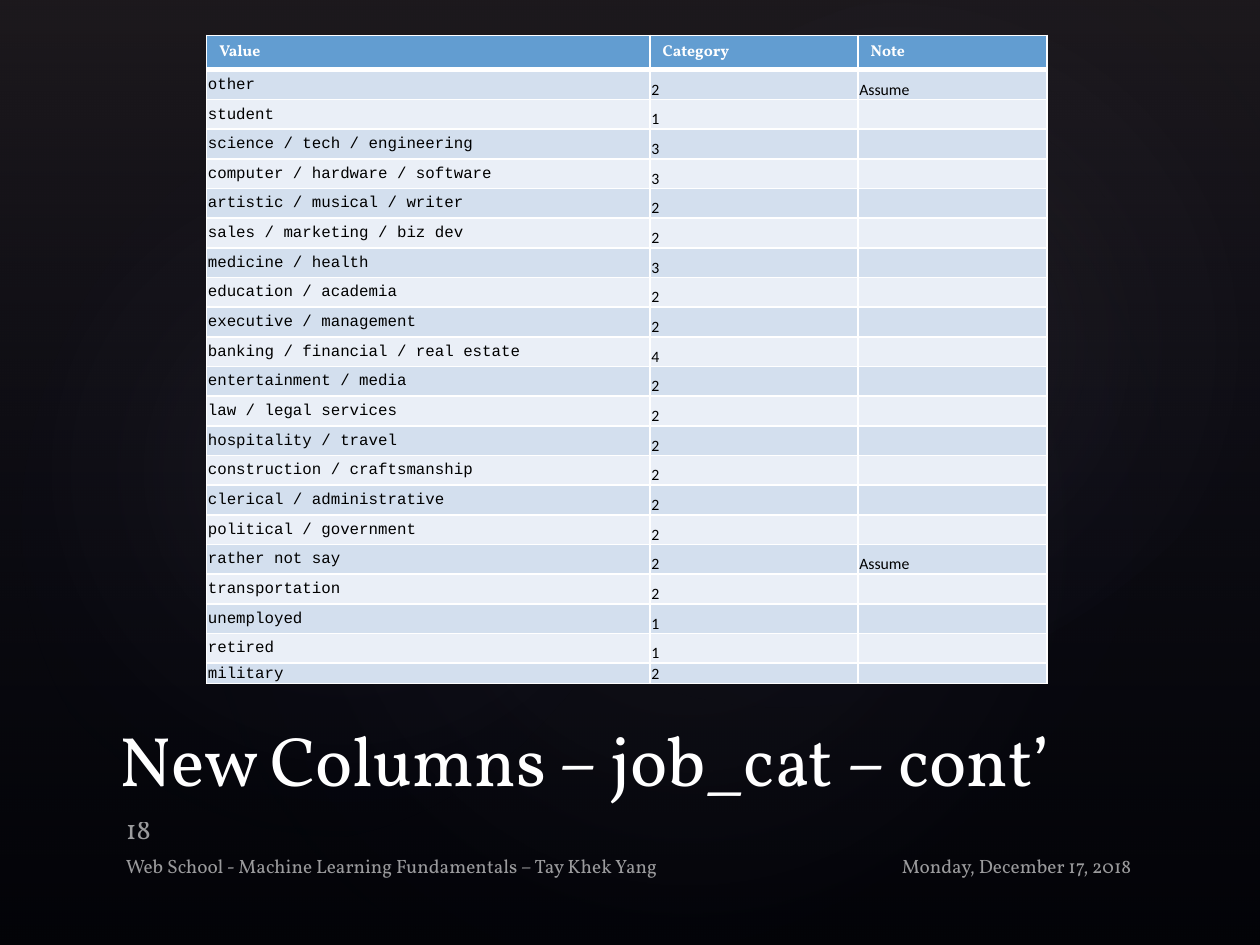
from dataclasses import dataclass

from lxml.etree import SubElement
from pptx import Presentation
from pptx.dml.color import RGBColor
from pptx.enum.shapes import MSO_SHAPE as Shape
from pptx.enum.text import MSO_ANCHOR as Anchor, MSO_AUTO_SIZE as AutoSize, PP_ALIGN as Align
from pptx.oxml.ns import qn
from pptx.util import Inches, Pt

BLACK = RGBColor(0x00, 0x00, 0x00)
WHITE = RGBColor(0xFF, 0xFF, 0xFF)
PLUM = RGBColor(0x50, 0x46, 0x52)
NAVY = RGBColor(0x24, 0x28, 0x52)
MIST = RGBColor(0xC4, 0xBC, 0xC6)
HEADER_BLUE = RGBColor(0x62, 0x9D, 0xD1)
BAND_DARK = RGBColor(0xD3, 0xDF, 0xEE)
BAND_LIGHT = RGBColor(0xEA, 0xEF, 0xF7)
SERIF, SANS, MONO = "Vollkorn", "Calibri", "Courier New"


@dataclass
class Stop:
    position: int
    color: RGBColor
    alpha: int


@dataclass
class Glow:
    left: float
    top: float
    width: float
    height: float
    rotation: float = 0
    stops: tuple[Stop, ...] = ()
    kind: Shape = Shape.OVAL


@dataclass
class Caption:
    text: str
    left: float
    top: float
    width: float
    height: float
    size: int = 11
    align: Align = Align.LEFT
    anchor: Anchor = Anchor.TOP
    bottom_inset: float = 0.05


def mist(alpha: int) -> tuple[Stop, ...]:
    return Stop(0, MIST, alpha), Stop(58, NAVY, 0)


GLOWS = [
    Glow(0, 0, 10, 7.5, 0, (Stop(0, PLUM, 36), Stop(100, NAVY, 10)), Shape.RECTANGLE),
    Glow(1.5, 1.14, 7.92, 6.24, 328.7, mist(7)),
    Glow(-0.3, 1.28, 6.06, 4.9, 294.3, mist(8)),
    Glow(3.58, 0.13, 7.09, 5.2, 328.7, mist(8)),
]
CAPTIONS = [
    Caption("Monday, December 17, 2018", 6.75, 6.73, 2.33, 0.4, align=Align.RIGHT),
    Caption("18", 0.9, 6.39, 2.33, 0.33, 16, anchor=Anchor.BOTTOM, bottom_inset=0.01),
    Caption("Web School - Machine Learning Fundamentals – Tay Khek Yang", 0.9, 6.73, 5, 0.4),
]
HEADINGS = ("Value", "Category", "Note")
JOBS = [
    ("other", 2), ("student", 1), ("science / tech / engineering", 3),
    ("computer / hardware / software", 3), ("artistic / musical / writer", 2),
    ("sales / marketing / biz dev", 2), ("medicine / health", 3),
    ("education / academia", 2), ("executive / management", 2),
    ("banking / financial / real estate", 4), ("entertainment / media", 2),
    ("law / legal services", 2), ("hospitality / travel", 2),
    ("construction / craftsmanship", 2), ("clerical / administrative", 2),
    ("political / government", 2), ("rather not say", 2), ("transportation", 2),
    ("unemployed", 1), ("retired", 1), ("military", 2),
]
ASSUMED = {"other", "rather not say"}
COLUMN_WIDTHS = (3.52, 1.65, 1.5)
TABLE_HEIGHT, HEADER_HEIGHT, LAST_HEIGHT = 5.14, 0.27, 0.16


def add_color(parent, color: RGBColor, alpha: int) -> None:
    value = SubElement(parent, qn("a:srgbClr"), val=str(color))
    SubElement(value, qn("a:alpha"), val=str(alpha * 1000))


def style_run(run, font: str, size: int, color: RGBColor, bold: bool = False) -> None:
    run.font.name, run.font.size, run.font.bold = font, Pt(size), bold
    run.font.color.rgb = color


def add_glow(slide, glow: Glow) -> None:
    shape = slide.shapes.add_shape(glow.kind, Inches(glow.left), Inches(glow.top),
                                   Inches(glow.width), Inches(glow.height))
    shape.rotation = glow.rotation
    shape.shadow.inherit = False
    shape.line.fill.background()
    shape.fill.gradient()
    gradient = shape.fill._xPr.find(qn("a:gradFill"))
    for child in list(gradient):
        gradient.remove(child)
    stops = SubElement(gradient, qn("a:gsLst"))
    for stop in glow.stops:
        add_color(SubElement(stops, qn("a:gs"), pos=str(stop.position * 1000)),
                  stop.color, stop.alpha)
    if glow.kind == Shape.RECTANGLE:
        SubElement(gradient, qn("a:lin"), ang="5400000", scaled="0")
    else:
        circle = SubElement(gradient, qn("a:path"), path="circle")
        SubElement(circle, qn("a:fillToRect"), l="50000", t="50000", r="50000", b="50000")


def add_caption(slide, caption: Caption) -> None:
    box = slide.shapes.add_textbox(Inches(caption.left), Inches(caption.top),
                                   Inches(caption.width), Inches(caption.height))
    frame = box.text_frame
    frame.word_wrap = True
    frame.vertical_anchor = caption.anchor
    frame.margin_bottom = Inches(caption.bottom_inset)
    frame.text = caption.text
    frame.paragraphs[0].alignment = caption.align
    run = frame.paragraphs[0].runs[0]
    style_run(run, SERIF, caption.size, WHITE)
    value = run.font.fill._xPr.find(qn("a:solidFill"))[0]
    SubElement(value, qn("a:alpha"), val="60000")


def place_title(slide, text: str) -> None:
    title = slide.shapes.title
    title.left, title.top = Inches(0.85), Inches(5.4)
    title.width, title.height = Inches(8.25), Inches(1)
    frame = title.text_frame
    frame.text = text
    frame.auto_size = AutoSize.NONE
    frame.vertical_anchor = Anchor.BOTTOM
    frame.paragraphs[0].alignment = Align.LEFT
    style_run(frame.paragraphs[0].runs[0], SERIF, 40, WHITE)
    slide.shapes._spTree.append(title._element)  # in front of the glows


def set_borders(cell, top: int, bottom: int) -> None:
    properties = cell._tc.get_or_add_tcPr()
    sides = {"a:lnL": 1, "a:lnR": 1, "a:lnT": top, "a:lnB": bottom}
    for index, (side, width) in enumerate(sides.items()):
        line = SubElement(properties, qn(side), w=str(Pt(width)))
        SubElement(SubElement(line, qn("a:solidFill")), qn("a:srgbClr"), val=str(WHITE))
        properties.insert(index, line)


def fill_cell(cell, text: str, row: int, column: int) -> None:
    header = row == 0
    cell.fill.solid()
    cell.fill.fore_color.rgb = HEADER_BLUE if header else BAND_DARK if row % 2 else BAND_LIGHT
    set_borders(cell, top=3 if row == 1 else 1, bottom=3 if header else 1)
    if not header:
        cell.margin_left = cell.margin_right = cell.margin_top = Inches(0.01)
        cell.margin_bottom = 0
        cell.vertical_anchor = Anchor.BOTTOM if column else Anchor.MIDDLE
    paragraph = cell.text_frame.paragraphs[0]
    if not text:
        SubElement(paragraph._p, qn("a:endParaRPr"), sz="900")
        return
    paragraph.text = text
    font = SERIF if header else SANS if column else MONO
    style_run(paragraph.runs[0], font, 9, WHITE if header else BLACK, header)


def add_job_table(slide) -> None:
    rows = [HEADINGS] + [(job, str(category), "Assume" if job in ASSUMED else "")
                         for job, category in JOBS]
    table = slide.shapes.add_table(len(rows), len(HEADINGS), Inches(1.64), Inches(0.28),
                                   Inches(sum(COLUMN_WIDTHS)), Inches(TABLE_HEIGHT)).table
    for column, width in zip(table.columns, COLUMN_WIDTHS):
        column.width = Inches(width)
    body_height = (TABLE_HEIGHT - HEADER_HEIGHT - LAST_HEIGHT) / (len(rows) - 2)
    heights = [HEADER_HEIGHT] + [body_height] * (len(rows) - 2) + [LAST_HEIGHT]
    for row, (texts, height) in enumerate(zip(rows, heights)):
        table.rows[row].height = Inches(height)
        for column, text in enumerate(texts):
            fill_cell(table.cell(row, column), text, row, column)


deck = Presentation()
deck.slide_width, deck.slide_height = Inches(10), Inches(7.5)
slide = deck.slides.add_slide(deck.slide_layouts[5])

# Dark backdrop with soft glows
slide.background.fill.solid()
slide.background.fill.fore_color.rgb = BLACK
for glow in GLOWS:
    add_glow(slide, glow)

# Footer, title and table
for caption in CAPTIONS:
    add_caption(slide, caption)
place_title(slide, "New Columns – job_cat – cont’")
add_job_table(slide)

deck.save("out.pptx")
